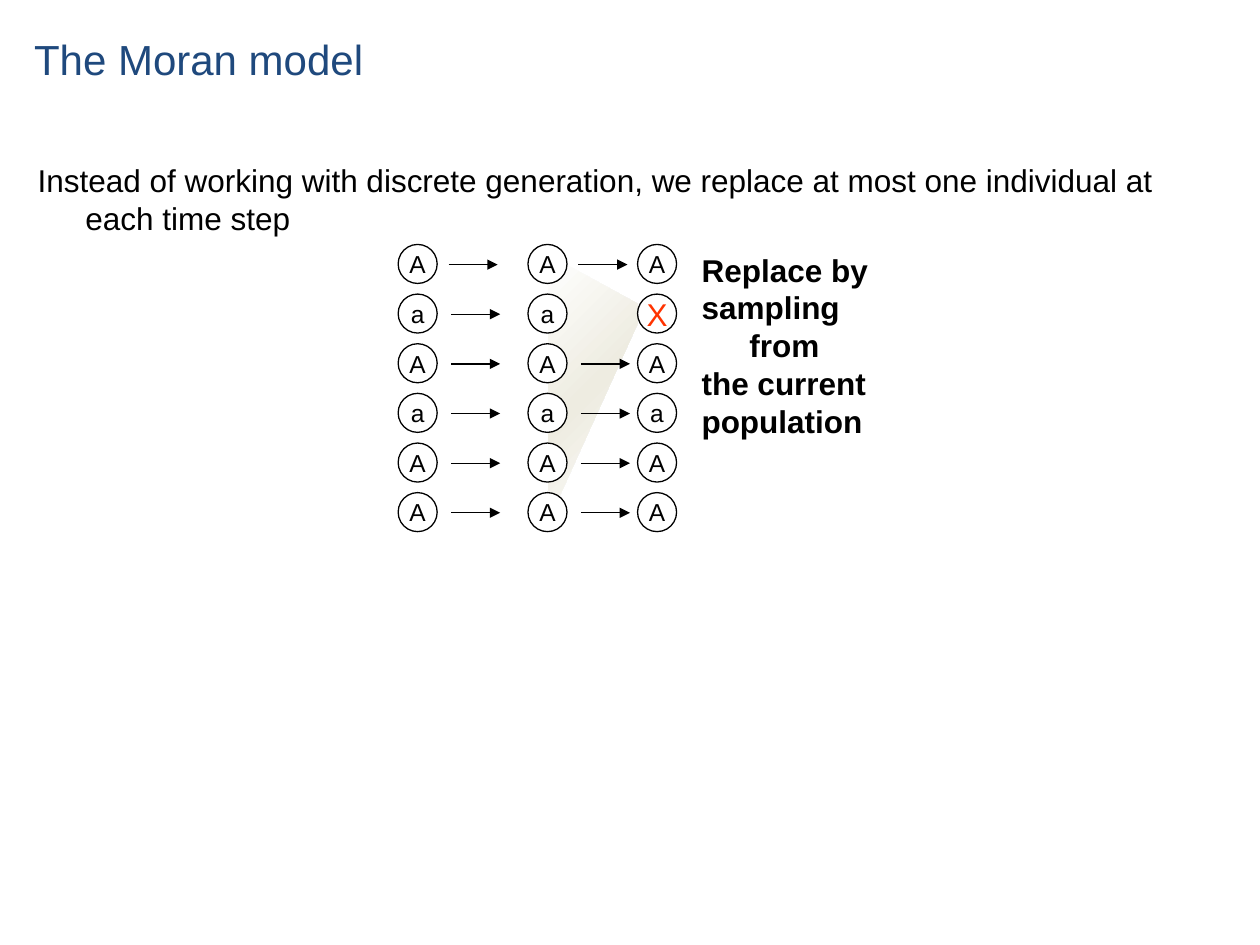
from copy import deepcopy
from lxml.etree import SubElement
from pptx import Presentation
from pptx.dml.color import RGBColor
from pptx.enum.shapes import MSO_CONNECTOR, MSO_SHAPE
from pptx.enum.text import MSO_ANCHOR, PP_ALIGN
from pptx.oxml.ns import qn
from pptx.util import Inches, Pt

GENES = ["AAA", "aaX", "AAA", "aaa", "AAA", "AAA"]
COLS = [0, 1.03, 1.9]
STEP, SIZE = 0.394, 0.31


def paint(color, value):
    color.rgb = RGBColor.from_string(value)


def style(para, size, value="000000", bold=False):
    look = {"name": "Arial", "size": Pt(size), "bold": bold}
    for key, val in look.items():
        setattr(para.font, key, val)
    paint(para.font.color, value)


def add_title(slide, x, y, w, h):
    title = slide.shapes.title
    place = {"left": x, "top": y, "width": w, "height": h}
    for key, val in place.items():
        setattr(title, key, Inches(val))
    frame = title.text_frame
    frame.text = "The Moran model"
    frame.vertical_anchor = MSO_ANCHOR.MIDDLE
    para = frame.paragraphs[0]
    para.alignment = PP_ALIGN.LEFT
    style(para, 24, "1F497D")


def add_text(slide, x, y, w, h, lines, bold=False):
    box = slide.shapes.add_textbox(Inches(x), Inches(y), Inches(w), Inches(h))
    frame = box.text_frame
    frame.word_wrap = True
    frame.text = "\n".join(lines)
    for para in frame.paragraphs:
        props = para._p.get_or_add_pPr()
        props.set("marL", str(Inches(0.38)))
        props.set("indent", str(Inches(-0.38)))
        style(para, 18, bold=bold)


def add_fan(slide, x, y):
    points = [(0, 0), (0, 2.12), (0.71, 0.55), (0.71, 0.39)]
    spots = [(Inches(x + dx), Inches(y + dy)) for dx, dy in points]
    build = slide.shapes.build_freeform(*spots[0])
    build.add_line_segments(spots[1:], close=True)
    fan = build.convert_to_shape()
    fan.shadow.inherit = False
    fan.line.fill.background()
    fan.fill.gradient()
    fan.fill.gradient_angle = 315
    stops = fan._element.spPr.find(".//" + qn("a:gsLst"))
    stops.insert(1, deepcopy(stops[0]))
    for stop, spot, value in zip(fan.fill.gradient_stops, (0, 0.5, 1),
                                 ("FFFFFF", "EEECE1", "FFFFFF")):
        stop.position = spot
        paint(stop.color, value)


def add_gene(slide, x, y, gene):
    oval = slide.shapes.add_shape(MSO_SHAPE.OVAL, Inches(x), Inches(y),
                                  Inches(SIZE), Inches(SIZE))
    oval.shadow.inherit = False
    oval.fill.solid()
    paint(oval.fill.fore_color, "FFFFFF")
    paint(oval.line.color, "000000")
    oval.line.width = Pt(0.75)
    frame = oval.text_frame
    frame.text = gene
    frame.word_wrap = False
    frame.vertical_anchor = MSO_ANCHOR.MIDDLE
    para = frame.paragraphs[0]
    para.alignment = PP_ALIGN.CENTER
    if gene == "X":
        style(para, 18, "FF3300")
    else:
        style(para, 14)


def add_arrow(slide, x, y, w):
    arrow = slide.shapes.add_connector(MSO_CONNECTOR.STRAIGHT, Inches(x),
                                       Inches(y), Inches(x + w), Inches(y))
    paint(arrow.line.color, "000000")
    arrow.line.width = Pt(0.75)
    SubElement(arrow.line._get_or_add_ln(), qn("a:tailEnd"), type="triangle")
    SubElement(arrow._element.spPr, qn("a:effectLst"))


def add_grid(slide, x, y):
    add_fan(slide, x + 1.19, y + 0.08)
    for row, genes in enumerate(GENES):
        top = y + row * STEP
        gap = 0.42 if row else 0.4
        for col, gene in enumerate(genes):
            add_gene(slide, x + COLS[col], top, gene)
            if col < 2 and genes[col + 1] != "X":
                add_arrow(slide, x + COLS[col] + gap, top + 0.16, 0.39)


def main():
    deck = Presentation()
    deck.slide_width, deck.slide_height = Inches(10), Inches(7.5)
    slide = deck.slides.add_slide(deck.slide_layouts[5])
    add_title(slide, 0.17, 0.05, 9, 0.83)
    add_grid(slide, 3.16, 1.94)
    add_text(slide, 5.47, 1.94, 1.84, 1.17,
             ["Replace by", "sampling from", "the current", "population"], True)
    add_text(slide, 0.2, 1.23, 9.21, 0.64,
             ["Instead of working with discrete generation, we replace "
              "at most one individual at each time step"])
    deck.save("out.pptx")


if __name__ == "__main__":
    main()
